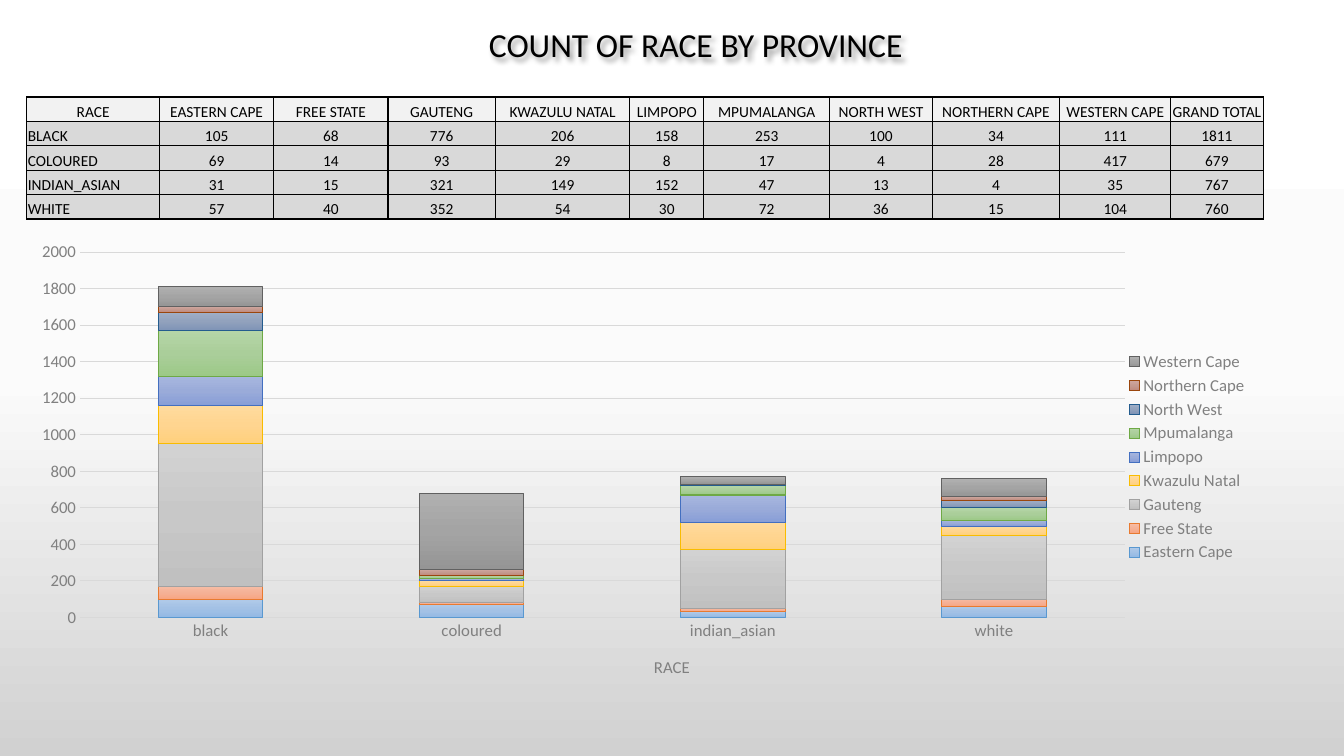
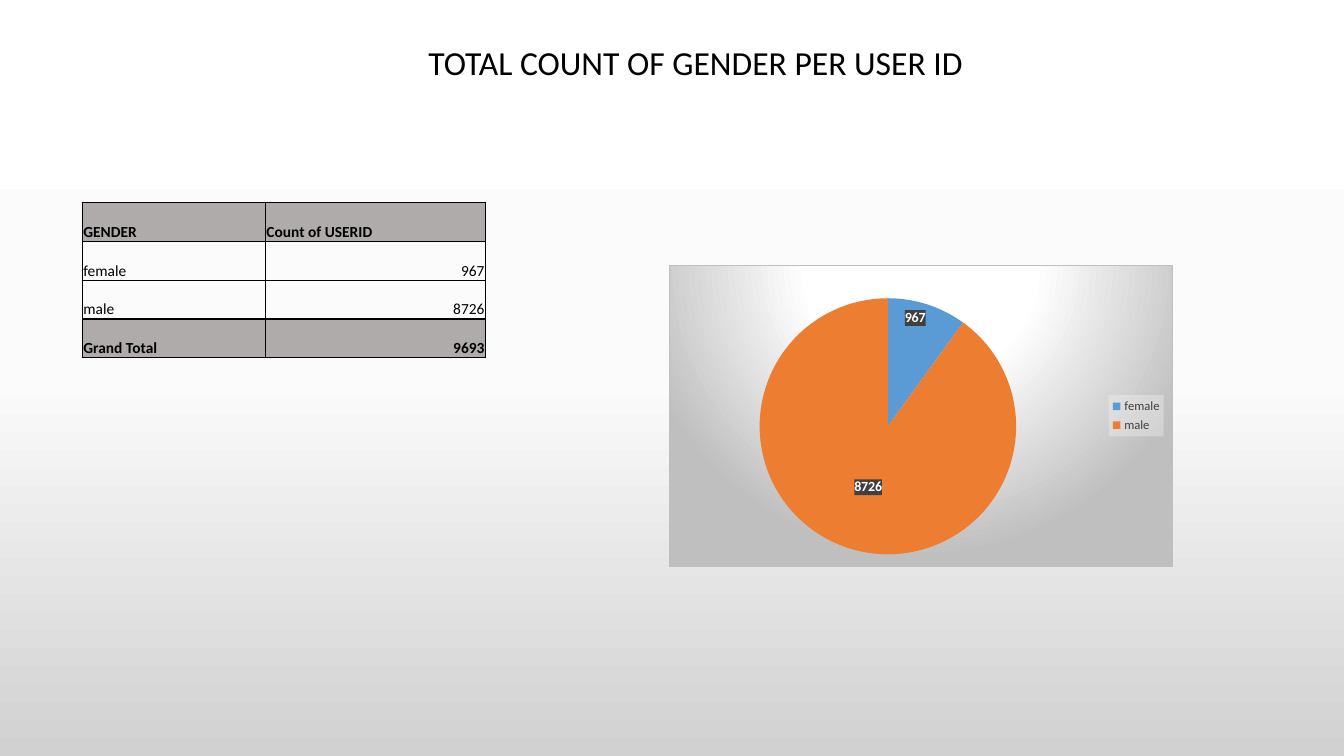
from dataclasses import dataclass

from pptx import Presentation
from pptx.chart.data import CategoryChartData
from pptx.dml.color import RGBColor
from pptx.enum.chart import (XL_CHART_TYPE, XL_LABEL_POSITION,
                             XL_LEGEND_POSITION, XL_TICK_MARK)
from pptx.enum.text import MSO_ANCHOR, MSO_AUTO_SIZE, PP_ALIGN
from pptx.oxml import parse_xml
from pptx.oxml.ns import nsdecls, qn
from pptx.util import Inches, Pt


@dataclass(frozen=True)
class Theme:
    font: str = "Calibri"
    title: Pt = Pt(24)
    body: Pt = Pt(11)
    axis: Pt = Pt(12)
    label: Pt = Pt(10)
    small: Pt = Pt(9)
    hairline: Pt = Pt(0.75)
    black: RGBColor = RGBColor.from_string("000000")
    white: RGBColor = RGBColor.from_string("FFFFFF")
    gray: RGBColor = RGBColor.from_string("808080")
    dark: RGBColor = RGBColor.from_string("404040")
    rule: RGBColor = RGBColor.from_string("D9D9D9")
    header: RGBColor = RGBColor.from_string("F2F2F2")
    band: RGBColor = RGBColor.from_string("AFABAB")
    page: tuple = ("FFFFFF", "FBFBFB", "D1D1D1")


T = Theme()

# Province: three gradient colours, then the outline
PROVINCES = {
    "EASTERN CAPE": ("B1CBE9", "A3C1E5", "93B9E4", "5998D0"),
    "FREE STATE": ("F7BDA5", "F5B196", "F8A582", "E87A30"),
    "GAUTENG": ("D2D2D2", "C8C8C8", "C0C0C0", "A1A1A1"),
    "KWAZULU NATAL": ("FFDB9E", "FFD590", "FFD07C", "F9BC00"),
    "LIMPOPO": ("A8B7DF", "9AABD9", "889ED7", "436FC0"),
    "MPUMALANGA": ("B5D5A7", "AACE9A", "9CC987", "6EA945"),
    "NORTH WEST": ("9FAEC7", "92A2BD", "7E93B6", "245C8E"),
    "NORTHERN CAPE": ("CFA69E", "C59A90", "C0887C", "9A460D"),
    "WESTERN CAPE": ("B0B0B0", "A4A4A4", "959595", "616161"),
}
RACES = {
    "BLACK": (105, 68, 776, 206, 158, 253, 100, 34, 111),
    "COLOURED": (69, 14, 93, 29, 8, 17, 4, 28, 417),
    "INDIAN_ASIAN": (31, 15, 321, 149, 152, 47, 13, 4, 35),
    "WHITE": (57, 40, 352, 54, 30, 72, 36, 15, 104),
}
GENDERS = {"female": (967, "5B9BD5"), "male": (8726, "ED7D31")}


def gradient(colors, middle=50, direction='<a:lin ang="5400000" scaled="0"/>'):
    stops = "".join(f'<a:gs pos="{pos * 1000}"><a:srgbClr val="{color}"/></a:gs>'
                    for pos, color in zip((0, middle, 100), colors))
    return (f'<a:gradFill {nsdecls("a")} rotWithShape="1">'
            f'<a:gsLst>{stops}</a:gsLst>{direction}</a:gradFill>')


def add_grid(s, x, y, widths, height, rows, fills, number_align, header_align):
    """Add a bordered table; fills holds one colour or None per row."""
    table = s.shapes.add_table(len(rows), len(widths), x * COL, y * ROW,
                               sum(widths) * COL, height * ROW).table
    table.first_row = table.horz_banding = False
    for column, width in zip(table.columns, widths):
        column.width = width * COL
    for i, row in enumerate(rows):
        for j, value in enumerate(row):
            cell = table.cell(i, j)
            cell.margin_left = cell.margin_right = cell.margin_top = Inches(0.01)
            cell.margin_bottom = 0
            cell.vertical_anchor = MSO_ANCHOR.BOTTOM
            if fills[i] is None:
                cell.fill.background()
            else:
                cell.fill.solid()
                cell.fill.fore_color.rgb = fills[i]
            p = cell.text_frame.paragraphs[0]
            p.text = str(value)
            p.alignment = (header_align if i == 0
                           else number_align if j else PP_ALIGN.LEFT)
            font = p.runs[0].font
            font.name, font.size, font.color.rgb = T.font, T.body, T.black
            font.bold = fills[i] == T.band
            for k, side in enumerate("LRTB"):
                cell._tc.get_or_add_tcPr().insert(k, parse_xml(
                    f'<a:ln{side} {nsdecls("a")} w="{Pt(1)}"><a:solidFill>'
                    f'<a:srgbClr val="{T.black}"/></a:solidFill></a:ln{side}>'))


prs = Presentation()
prs.slide_width, prs.slide_height = Inches(13.33), Inches(7.5)
COL, ROW = prs.slide_width // 800, prs.slide_height // 600

# Shared background
fill = prs.slide_master.background.fill
fill.solid()
solid = next(prs.slide_master.element.iter(qn("p:bgPr"))).find(qn("a:solidFill"))
solid.getparent().replace(solid, parse_xml(gradient(T.page)))

# Slides and titles
slides = []
for text, x, y, w in (("COUNT OF RACE BY PROVINCE", 285, 15, 390),
                      ("TOTAL COUNT OF GENDER PER USER ID", 249, 29, 350)):
    s = prs.slides.add_slide(prs.slide_layouts[5])
    sp = s.shapes.title
    sp.left, sp.top, sp.width, sp.height = x * COL, y * ROW, w * COL, 40 * ROW
    tf = sp.text_frame
    tf.text = text
    tf.word_wrap = False
    tf.auto_size = MSO_AUTO_SIZE.SHAPE_TO_FIT_TEXT
    tf.vertical_anchor = MSO_ANCHOR.TOP
    p = tf.paragraphs[0]
    p.alignment = PP_ALIGN.LEFT
    font = p.runs[0].font
    font.name, font.size, font.color.rgb = T.font, T.title, T.black
    slides.append(s)
race, gender = slides

# Race: title shadow
race.shapes.title.fill.background()
race.shapes.title.element.spPr.append(parse_xml(
    f'<a:effectLst {nsdecls("a")}><a:outerShdw blurRad="50800" dist="38100" '
    'dir="2700000" algn="tl"><a:srgbClr val="000000"><a:alpha val="40000"/>'
    '</a:srgbClr></a:outerShdw></a:effectLst>'))

# Race: table
rows = [("RACE", *PROVINCES, "GRAND TOTAL")]
rows += [(name, *counts, sum(counts)) for name, counts in RACES.items()]
add_grid(race, 16, 77, (79, 68, 68, 64, 80, 44, 75, 61, 76, 66, 55), 97, rows,
         [T.header] + [T.rule] * len(RACES), PP_ALIGN.CENTER, PP_ALIGN.CENTER)

# Race: stacked columns, counts to the nearest ten
data = CategoryChartData()
data.categories = [name.lower() for name in RACES]
for province, counts in zip(PROVINCES, zip(*RACES.values())):
    data.add_series(province.title(), [round(count, -1) for count in counts])
columns = race.shapes.add_chart(XL_CHART_TYPE.COLUMN_STACKED, 25 * COL, 186 * ROW,
                                724 * COL, 356 * ROW, data).chart
plot = columns.plots[0]
plot.gap_width, plot.overlap = 150, 100
for series, (*colors, outline) in zip(plot.series, PROVINCES.values()):
    series.format.fill.solid()
    series.format.line.color.rgb = RGBColor.from_string(outline)
    series.format.line.width = T.hairline
    solid = series._element.spPr.find(qn("a:solidFill"))
    solid.getparent().replace(solid, parse_xml(gradient(colors)))

for axis in (columns.category_axis, columns.value_axis):
    axis.major_tick_mark = axis.minor_tick_mark = XL_TICK_MARK.NONE
    font = axis.tick_labels.font
    font.name, font.size, font.color.rgb = T.font, T.axis, T.gray
columns.value_axis.minimum_scale, columns.value_axis.maximum_scale = 0, 2000
columns.value_axis.major_unit = 200
columns.value_axis.format.line.fill.background()
for line in (columns.category_axis.format.line,
             columns.value_axis.major_gridlines.format.line):
    line.color.rgb, line.width = T.rule, T.hairline
tf = columns.category_axis.axis_title.text_frame
tf.text = "RACE"
font = tf.paragraphs[0].runs[0].font
font.name, font.size, font.bold, font.color.rgb = T.font, T.axis, False, T.gray

# Gender: pie
data = CategoryChartData()
data.categories = list(GENDERS)
data.add_series("Series 1", [count for count, _ in GENDERS.values()])
pie = gender.shapes.add_chart(XL_CHART_TYPE.PIE, 398 * COL, 210 * ROW,
                              300 * COL, 240 * ROW, data).chart
series = pie.plots[0].series[0]
for i, (_, color) in enumerate(GENDERS.values()):
    point_fill = series.points[i].format.fill
    point_fill.solid()
    point_fill.fore_color.rgb = RGBColor.from_string(color)
series.data_labels.show_value = True
for labels, position in ((series.data_labels, XL_LABEL_POSITION.CENTER),
                         (series.points[0].data_label,
                          XL_LABEL_POSITION.INSIDE_END)):
    font = labels.font
    font.name, font.size, font.bold, font.color.rgb = T.font, T.label, True, T.white
    labels.position = position

# Both charts: base font and legend
for chart, size, color in ((columns, T.axis, T.gray), (pie, T.small, T.dark)):
    chart.has_title = False
    chart.font.name, chart.font.size = T.font, T.label
    chart.has_legend = True
    chart.legend.position = XL_LEGEND_POSITION.RIGHT
    chart.legend.include_in_layout = False
    font = chart.legend.font
    font.name, font.size, font.color.rgb = T.font, size, color

# Both charts: plot areas and axis title as shares of the chart
axis_title = next(columns.element.iter(qn("c:catAx"))).find(qn("c:title"))
for part, index, shares in (
        (next(columns.element.iter(qn("c:plotArea"))), 0, (0.03, 0.04, 0.86, 0.82)),
        (next(pie.element.iter(qn("c:plotArea"))), 0, (0.18, 0.11, 0.51, 0.85)),
        (axis_title, 1, (0.5, 0.94))):
    for layout in part.findall(qn("c:layout")):
        part.remove(layout)
    target = '<c:layoutTarget val="inner"/>' if len(shares) == 4 else ""
    values = "".join(f'<c:{key} val="{share}"/>' for key, share in zip("xywh", shares))
    part.insert(index, parse_xml(
        f'<c:layout {nsdecls("c")}><c:manualLayout>{target}<c:xMode val="edge"/>'
        f'<c:yMode val="edge"/>{values}</c:manualLayout></c:layout>'))

# Gender: translucent label and legend plates, chart backdrop
for tag, color, alpha in (("c:dLbls", T.dark, 75), ("c:dLbl", T.dark, 75),
                          ("c:legend", T.header, 39)):
    next(pie.element.iter(qn(tag))).find(qn("c:txPr")).addprevious(parse_xml(
        f'<c:spPr {nsdecls("c", "a")}><a:solidFill><a:srgbClr val="{color}">'
        f'<a:alpha val="{alpha * 1000}"/></a:srgbClr></a:solidFill></c:spPr>'))
glow = ('<a:path path="circle"><a:fillToRect l="50000" t="-80000" '
        'r="50000" b="180000"/></a:path>')
backdrop = gradient(("FFFFFF", "FFFFFF", "BFBFBF"), 39, glow)
pie.element.find(qn("c:chart")).addnext(parse_xml(
    f'<c:spPr {nsdecls("c", "a")}>{backdrop}<a:ln w="{T.hairline}"><a:solidFill>'
    '<a:srgbClr val="BFBFBF"/></a:solidFill></a:ln></c:spPr>'))

# Gender: table
rows = [("GENDER", "Count of USERID")]
rows += [(name, count) for name, (count, _) in GENDERS.items()]
rows.append(("Grand Total", sum(count for count, _ in GENDERS.values())))
add_grid(gender, 49, 161, (109, 131), 123, rows, (T.band, None, None, T.band),
         PP_ALIGN.RIGHT, PP_ALIGN.LEFT)

prs.save("out.pptx")
